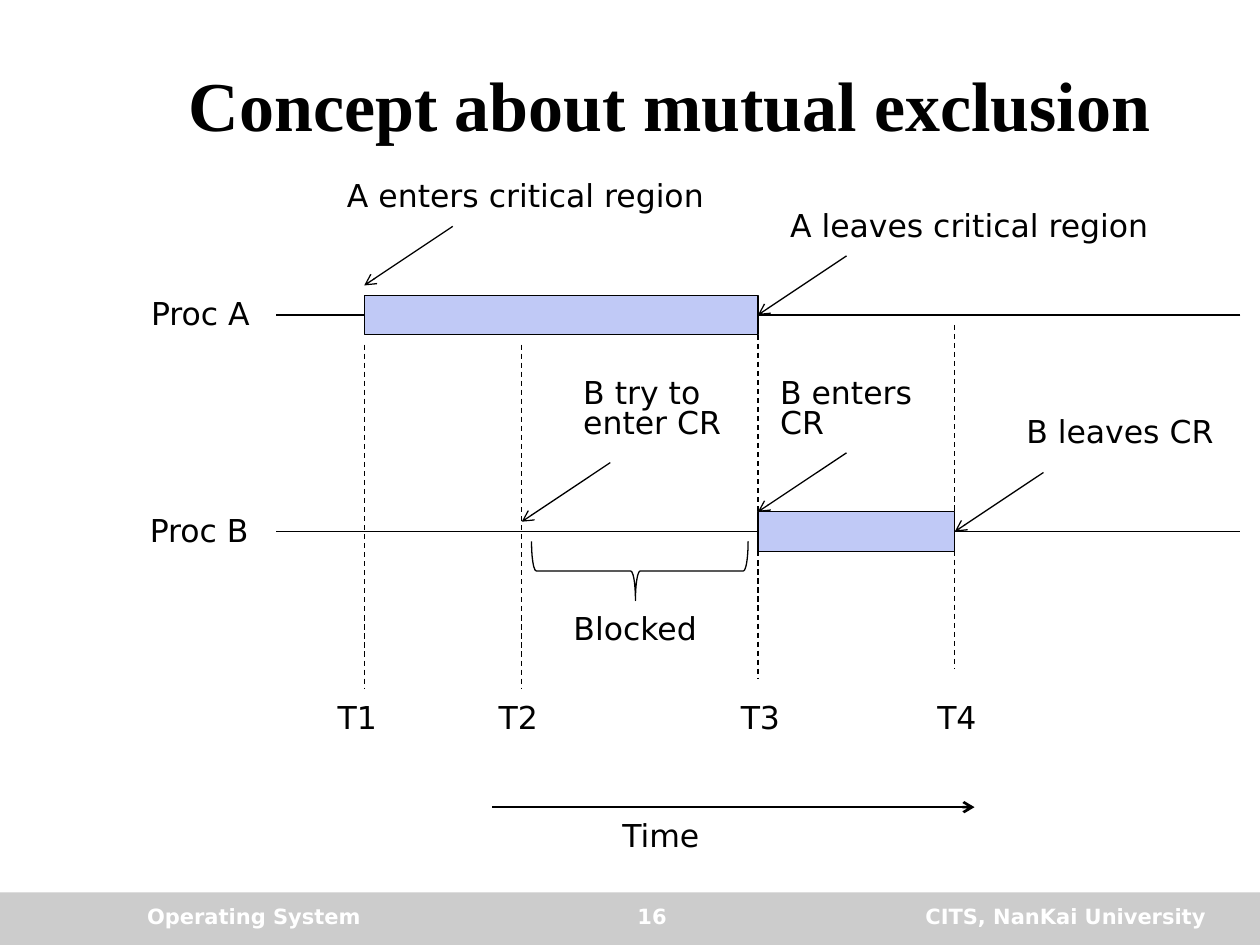
from lxml import etree
from pptx import Presentation
from pptx import util as u
from pptx.dml.color import RGBColor
from pptx.enum import dml, shapes, text
from pptx.oxml.ns import qn

BLACK, WHITE, GREY, LILAC = "000000", "FFFFFF", "CCCCCC", "C0C9F6"
LEFT, CENTER, RIGHT = text.PP_ALIGN.LEFT, text.PP_ALIGN.CENTER, text.PP_ALIGN.RIGHT


def color(value):
    return RGBColor.from_string(value)


class Diagram:
    """Holds the style and the current slide; all lengths are in points."""
    font, size, line_width = "DejaVu Sans", 18, 0.75

    def __init__(self, slide):
        self.slide = slide

    def style(self, paragraph, size, ink, bold=False, font=None, align=LEFT):
        paragraph.alignment = align
        paragraph.font.name = font or self.font
        paragraph.font.size = u.Pt(size)
        paragraph.font.bold = bold
        paragraph.font.color.rgb = color(ink)

    def title(self, words, left, top, width, height):
        shape = self.slide.shapes.title
        shape.left, shape.top = u.Pt(left), u.Pt(top)
        shape.width, shape.height = u.Pt(width), u.Pt(height)
        frame = shape.text_frame
        frame.text = words
        frame.auto_size = text.MSO_AUTO_SIZE.NONE
        frame.vertical_anchor = text.MSO_ANCHOR.MIDDLE
        self.style(frame.paragraphs[0], 40, BLACK, True, "Times New Roman", CENTER)

    def text_box(self, words, left, top, width, height, wrap):
        box = self.slide.shapes.add_textbox(
            u.Pt(left), u.Pt(top), u.Pt(width), u.Pt(height))
        box.text_frame.word_wrap = wrap
        box.text_frame.text = words
        return box.text_frame

    def label(self, words, left, top, width, height=24.5, wrap=False):
        frame = self.text_box(words, left, top, width, height, wrap)
        frame.auto_size = text.MSO_AUTO_SIZE.SHAPE_TO_FIT_TEXT
        frame.paragraphs[0].line_spacing = 0.8
        self.style(frame.paragraphs[0], self.size, BLACK)

    def footer(self, words, left, width, align):
        frame = self.text_box(words, left, 512.6, width, 23.8, True)
        self.style(frame.paragraphs[0], 12, WHITE, True, align=align)

    def shape(self, kind, left, top, width, height, fill, outline=True):
        shape = self.slide.shapes.add_shape(
            kind, u.Pt(left), u.Pt(top), u.Pt(width), u.Pt(height))
        shape.shadow.inherit = False
        shape.fill.solid()
        shape.fill.fore_color.rgb = color(fill)
        if outline:
            shape.line.color.rgb = color(BLACK)
            shape.line.width = u.Pt(self.line_width)
        else:
            shape.line.fill.background()
        return shape

    def line(self, start, end, arrow=False, dashed=False, width=None,
             begin_at=None, end_at=None):
        connector = self.slide.shapes.add_connector(
            shapes.MSO_CONNECTOR.STRAIGHT, *(u.Pt(v) for v in (*start, *end)))
        connector.line.color.rgb = color(BLACK)
        connector.line.width = u.Pt(width or self.line_width)
        if dashed:
            connector.line.dash_style = dml.MSO_LINE.DASH
        properties = connector._element.spPr
        if arrow:
            etree.SubElement(properties.find(qn("a:ln")), qn("a:tailEnd"), type="arrow")
        etree.SubElement(properties, qn("a:effectLst"))
        if begin_at:
            connector.begin_connect(*begin_at)
        if end_at:
            connector.end_connect(*end_at)


def main():
    presentation = Presentation()
    presentation.slide_width, presentation.slide_height = u.Pt(720), u.Pt(540)
    slide = presentation.slides.add_slide(presentation.slide_layouts[5])
    diagram = Diagram(slide)
    rectangle = shapes.MSO_SHAPE.RECTANGLE

    # Title and footer band
    diagram.title("Concept about mutual exclusion", 76.3, 23.8, 612.7, 70.6)
    diagram.shape(rectangle, 0, 510, 720, 30, GREY, outline=False)
    diagram.footer("Operating System", 77, 198, LEFT)
    diagram.footer("CITS, NanKai University", 468, 228.2, RIGHT)
    diagram.footer("16", 288.7, 167.8, CENTER)

    # Moments on the time axis and heights of the two processes
    t1, t2, t3, t4 = 208.12, 298.12, 433.12, 545.62
    start, end = 157.5, 708.75
    proc_a, proc_b = 180, 303.75
    half_bar = 11.25

    # Critical regions
    bar_a = diagram.shape(rectangle, t1, proc_a - half_bar, t3 - t1, 2 * half_bar, LILAC)
    bar_b = diagram.shape(rectangle, t3, proc_b - half_bar, t4 - t3, 2 * half_bar, LILAC)

    # Process lines
    diagram.line((t1, proc_a), (start, proc_a), begin_at=(bar_a, 1))
    diagram.line((end, proc_a), (t3, proc_a), end_at=(bar_a, 3))
    diagram.line((t3, proc_b), (t2, proc_b), begin_at=(bar_b, 1))
    diagram.line((t2, proc_b), (start, proc_b))
    diagram.line((t4, proc_b), (end, proc_b), begin_at=(bar_b, 3))
    diagram.label("Proc A", 79.2, proc_a - half_bar, 72.7)
    diagram.label("Proc B", 78.5, proc_b - half_bar, 72.7)

    # Events: arrow tip, bar side it joins, label text and box
    events = [
        (t1, 163.12, None, "A enters critical region", (191.2, 101.3, 221)),
        (t3, proc_a, (bar_a, 3), "A leaves critical region", (444.4, 118.1, 221)),
        (t2, 298.12, None, "B try to enter CR", (326.2, 213.8, 101.3, 42.5, True)),
        (t3, 292.5, None, "B enters CR", (438.7, 213.8, 101.3, 42.5, True)),
        (t4, proc_b, (bar_b, 3), "B leaves CR", (579.4, 236.2, 122.4)),
    ]
    for x, y, side, words, box in events:
        diagram.line((x + 50.62, y - 33.75), (x, y), arrow=True, end_at=side)
        diagram.label(words, *box)

    # Dashed time marks
    marks = [("T1", t1, 196.88, 185.8), ("T2", t2, 196.88, 277.9),
             ("T3", t3, 191.25, 416.2), ("T4", t4, 185.62, 528.5)]
    for words, x, top, label_left in marks:
        diagram.line((x, top), (x, top + 196.88), dashed=True)
        diagram.label(words, label_left, 399.6, 37.4)

    # Time arrow
    diagram.line((281.25, 461.25), (556.88, 461.25), arrow=True, width=1.5)
    diagram.label("Time", 348.5, 466.9, 59)

    # Blocked interval
    brace = diagram.shape(shapes.MSO_SHAPE.LEFT_BRACE, 348.75, 264.38, 33.75, 123.75, WHITE)
    brace.rotation = 270
    brace.adjustments[0], brace.adjustments[1] = 0.08, 0.48
    diagram.label("Blocked", 320.6, 348.8, 85)

    presentation.save("out.pptx")


if __name__ == "__main__":
    main()
